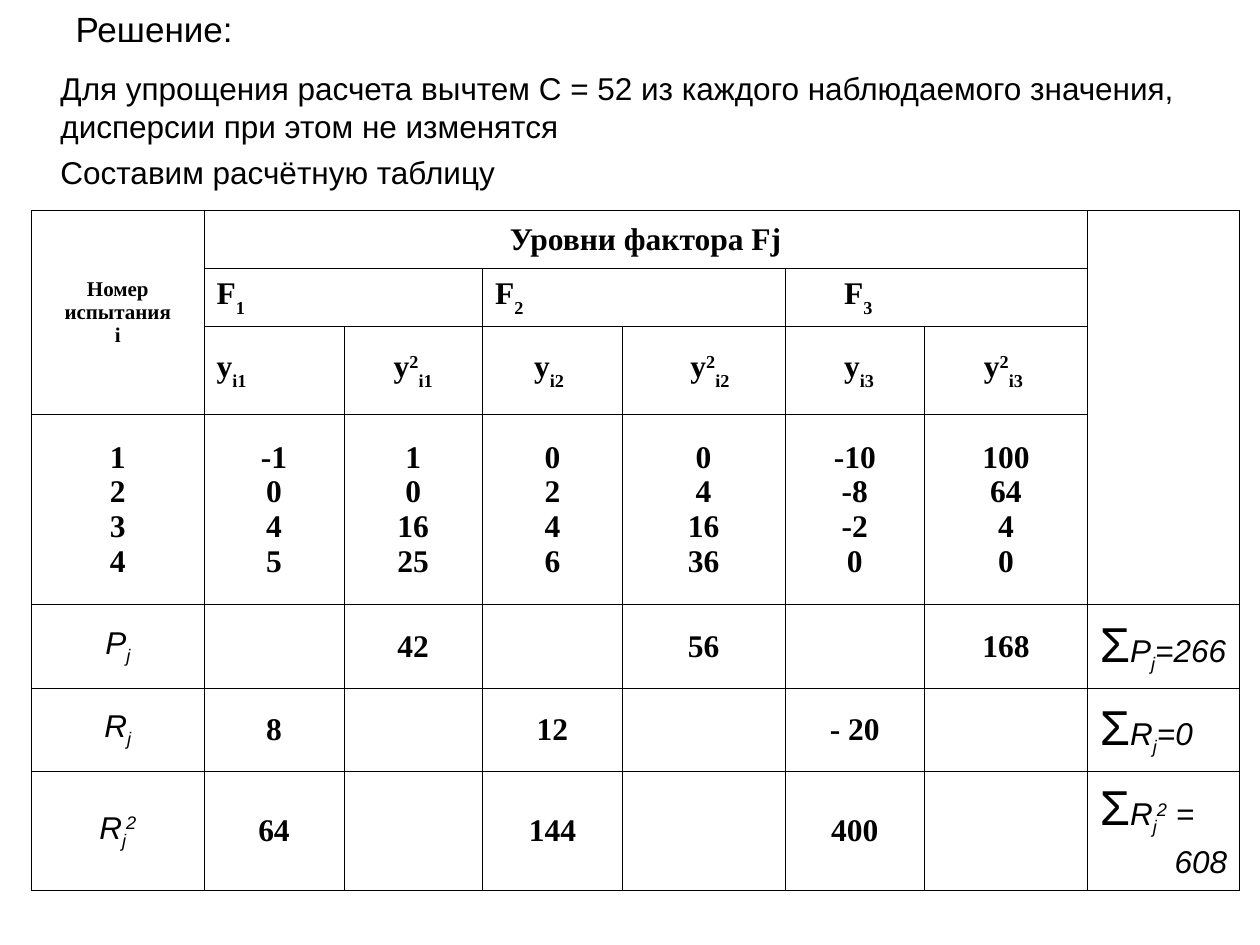
from lxml.etree import SubElement
from pptx import Presentation
from pptx.dml.color import RGBColor
from pptx.enum.shapes import MSO_CONNECTOR
from pptx.enum.text import MSO_ANCHOR, MSO_AUTO_SIZE, PP_ALIGN
from pptx.oxml.ns import qn
from pptx.util import Inches, Pt

COLORS = {"ink": "000000"}
SANS, SERIF = "Arial", "Times New Roman"
SHIFTS = {"_": "-25000", "^": "30000"}
LEFT, CENTER, RIGHT = PP_ALIGN.LEFT, PP_ALIGN.CENTER, PP_ALIGN.RIGHT

COLUMN_WIDTHS = [1.37, 1.11, 1.1, 1.11, 1.29, 1.11, 1.29, 1.21]
ROW_HEIGHTS = [0.46, 0.46, 0.7, 1.51, 0.66, 0.66, 0.95]
MERGES = [(0, 0, 2, 0), (0, 1, 0, 6), (0, 7, 3, 7),
          (1, 1, 1, 2), (1, 3, 1, 4), (1, 5, 1, 6)]
# row, column, pieces, alignment, left margin
HEADINGS = [
    (0, 1, ["Уровни фактора Fj"], CENTER, 0.1),
    (1, 1, ["F", "_1"], LEFT, 0.1),
    (1, 3, ["F", "_2"], LEFT, 0.1),
    (1, 5, ["F", "_3"], LEFT, 0.47),
    (2, 1, ["y", "_i1"], LEFT, 0.1),
    (2, 2, ["y", "^2", "_i1"], CENTER, 0.1),
    (2, 3, ["y", "_i2"], LEFT, 0.41),
    (2, 4, ["y", "^2", "_i2"], LEFT, 0.54),
    (2, 5, ["y", "_i3"], LEFT, 0.47),
    (2, 6, ["y", "^2", "_i3"], LEFT, 0.47),
]
TRIALS = ["1 2 3 4", "-1 0 4 5", "1 0 16 25", "0 2 4 6",
          "0 4 16 36", "-10 -8 -2 0", "100 64 4 0"]
# row, label pieces, first value column, values, total pieces
TOTALS = [
    (4, ["P", "_j"], 2, ["42", "56", "168"], ["=266"]),
    (5, ["R", "_j"], 1, ["8", "12", "- 20"], ["=0"]),
    (6, ["R", "_j", "^2"], 1, ["64", "144", "400"], [" = "]),
]


def style(span, size, name=SANS, bold=False, italic=False):
    """Set the font of one run."""
    font = span.font
    font.size, font.name, font.bold, font.italic = Pt(size), name, bold, italic
    font.color.rgb = RGBColor.from_string(COLORS["ink"])


def place(shape, left, top, width, height):
    """Put a shape in a box given in inches."""
    shape.left, shape.top = Inches(left), Inches(top)
    shape.width, shape.height = Inches(width), Inches(height)


def write_cell(cell, lines, align=CENTER, size=18, formula=False):
    """Write lines of pieces; a leading _ or ^ lowers or raises a piece."""
    frame = cell.text_frame
    for index, pieces in enumerate(lines):
        para = frame.add_paragraph() if index else frame.paragraphs[0]
        para.alignment = align
        if formula:
            para.space_before = Pt(4.5)
        for piece in pieces:
            span = para.add_run()
            shift = SHIFTS.get(piece[0])
            span.text = piece[1:] if shift else piece
            is_sum = piece == "Σ"
            style(span, 28 if is_sum else size, SANS if formula else SERIF,
                  not formula, formula and not is_sum)
            if shift:
                drop = shift if formula or piece[0] == "^" else "-30000"
                span.font._element.set("baseline", drop)


def outline_cell(cell):
    """Give a cell thin borders, no fill and centred height."""
    properties = cell._tc.get_or_add_tcPr()
    for side in ("lnL", "lnR", "lnT", "lnB"):
        border = SubElement(properties, qn("a:" + side), w=str(Pt(0.45)))
        fill = SubElement(border, qn("a:solidFill"))
        SubElement(fill, qn("a:srgbClr"), val=COLORS["ink"])
    cell.fill.background()
    cell.vertical_anchor = MSO_ANCHOR.MIDDLE


def add_heading(page, left, top, width, height):
    """Fill the title placeholder."""
    title = page.shapes.title
    place(title, left, top, width, height)
    frame = title.text_frame
    frame.text = "Решение:"
    frame.auto_size = MSO_AUTO_SIZE.NONE
    frame.vertical_anchor = MSO_ANCHOR.MIDDLE
    frame.paragraphs[0].alignment = LEFT
    style(frame.paragraphs[0].runs[0], 20)


def add_explanation(page, left, top, width, height):
    """Fill the body placeholder with two unbulleted paragraphs."""
    body = page.placeholders[1]
    place(body, left, top, width, height)
    frame = body.text_frame
    frame.text = ("Для упрощения расчета вычтем С = 52 из каждого наблюдаемого "
                  "значения, дисперсии при этом не изменятся\n"
                  "Составим расчётную таблицу")
    frame.auto_size = MSO_AUTO_SIZE.NONE
    for para in frame.paragraphs:
        para.space_before = Pt(4.5)
        properties = para._p.get_or_add_pPr()
        properties.set("marL", str(Inches(0.38)))
        properties.set("indent", "0")
        SubElement(properties, qn("a:buNone"))
        style(para.runs[0], 18)


def add_dot(page, left, top):
    """Draw the dot as a line of no length."""
    dot = page.shapes.add_connector(MSO_CONNECTOR.STRAIGHT, Inches(left),
                                    Inches(top), Inches(left), Inches(top))
    dot.line.color.rgb = RGBColor.from_string(COLORS["ink"])
    dot.line.width = Pt(1)
    SubElement(dot._element.spPr, qn("a:effectLst"))


def add_calculation(page, left, top):
    """Build the calculation table from its top left corner."""
    table = page.shapes.add_table(
        len(ROW_HEIGHTS), len(COLUMN_WIDTHS), Inches(left), Inches(top),
        Inches(sum(COLUMN_WIDTHS)), Inches(sum(ROW_HEIGHTS))).table
    table.first_row = table.horz_banding = False
    for column, width in zip(table.columns, COLUMN_WIDTHS):
        column.width = Inches(width)
    for row, height in zip(table.rows, ROW_HEIGHTS):
        row.height = Inches(height)
    for cell in table.iter_cells():
        outline_cell(cell)
    for first_row, first_column, last_row, last_column in MERGES:
        table.cell(first_row, first_column).merge(
            table.cell(last_row, last_column))

    write_cell(table.cell(0, 0), [["Номер испытания"], ["i"]], size=12)
    for row, column, pieces, align, margin in HEADINGS:
        cell = table.cell(row, column)
        cell.margin_left = Inches(margin)
        write_cell(cell, [pieces], align)
    for column, values in enumerate(TRIALS):
        write_cell(table.cell(3, column), [[value] for value in values.split()])
    for row, label, first, values, result in TOTALS:
        write_cell(table.cell(row, 0), [label], formula=True)
        for index, value in enumerate(values):
            write_cell(table.cell(row, first + 2 * index), [[value]])
        total = table.cell(row, 7)
        lines = [["Σ"] + label + result]
        if row == 6:
            lines.append(["608"])
        write_cell(total, lines, LEFT, formula=True)
    total.text_frame.paragraphs[-1].alignment = RIGHT


deck = Presentation()
deck.slide_width, deck.slide_height = Inches(10), Inches(7.5)
page = deck.slides.add_slide(deck.slide_layouts[1])
add_heading(page, 0.5, 0, 1.83, 0.45)
add_explanation(page, 0, 0.5, 10, 2)
add_dot(page, 3.43, 2.26)
add_calculation(page, 0.25, 1.67)
deck.save("out.pptx")
